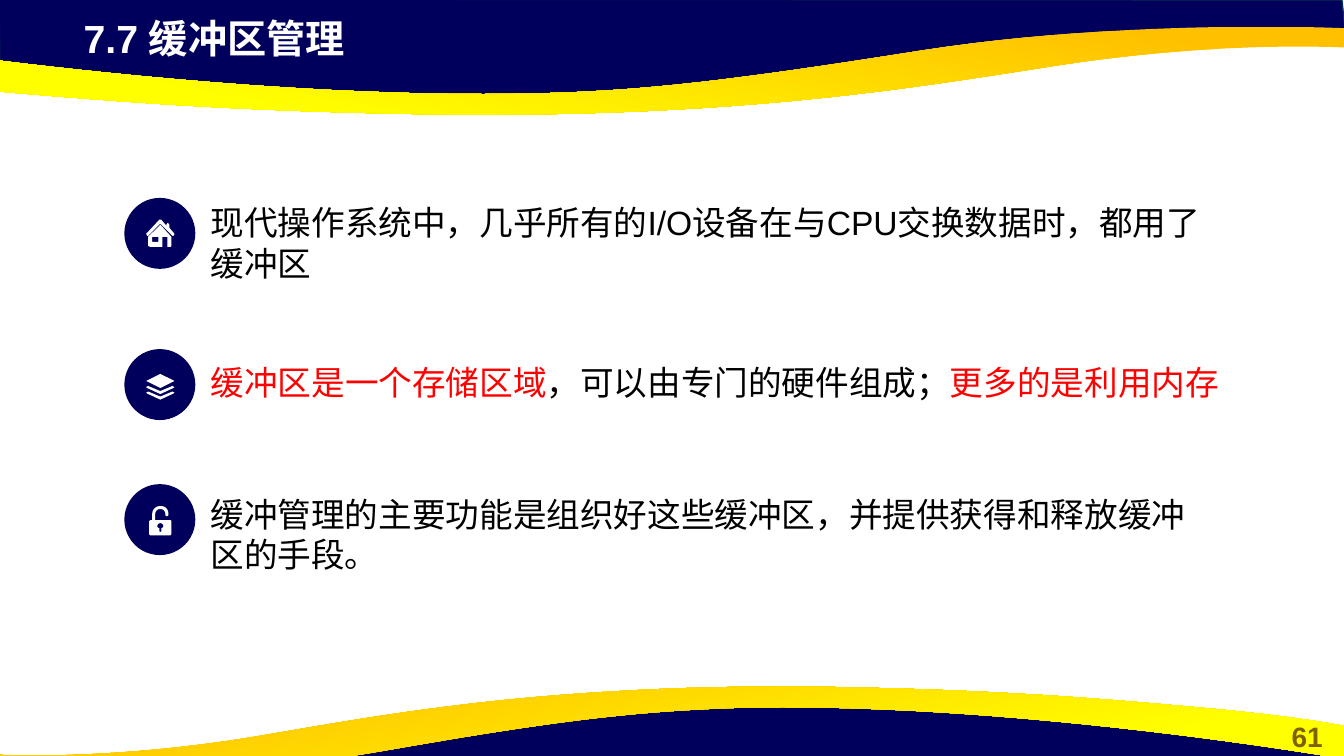
from pptx import Presentation
from pptx.dml.color import RGBColor
from pptx.enum.shapes import MSO_SHAPE
from pptx.enum.text import MSO_ANCHOR, MSO_AUTO_SIZE, PP_ALIGN
from pptx.util import Inches, Pt

OVAL = MSO_SHAPE.OVAL
TOP, MIDDLE = MSO_ANCHOR.TOP, MSO_ANCHOR.MIDDLE
LEFT, CENTER = PP_ALIGN.LEFT, PP_ALIGN.CENTER
NO_FIT = MSO_AUTO_SIZE.NONE
COLORS = {
    "navy": "00005C", "edge": "05304F", "orange": "FFC000", "yellow": "FFFF00",
    "olive": "806000", "red": "FF0000", "black": "000000", "white": "FFFFFF",
}
COLUMNS, ROWS = 1333, 750
CURVE_STEPS = 24

TOP_BAND = [(-1, -1), (0, 70), (293, 102), (559, 100), (795, 88), (1016, 50),
            (1238, 33), (1335, 38), (1331, 0)]
TOP_RIBBON = [(483, 114), (443, 114, 401, 113, 356, 112), (206, 108, 110, 100, 36, 94),
              (-88, 84, -130, 75, -133, 75), (-133, 42), (-133, 42, 218, 98, 517, 93),
              (626, 91, 708, 83, 915, 50), (1121, 18, 1333, 28, 1333, 28), (1333, 47),
              (1330, 47), (1305, 46, 1195, 43, 1055, 64), (918, 85, 762, 113, 483, 114)]
BOTTOM_BAND = [(1333, 794), (1332, 724), (1040, 691), (773, 693), (538, 706),
               (317, 743), (95, 760), (-3, 756), (1, 793)]
BOTTOM_RIBBON = [(772, 681), (809, 681, 847, 682, 888, 683), (1025, 687, 1112, 695, 1179, 701),
                 (1292, 711, 1330, 720, 1333, 720), (1333, 753),
                 (1333, 753, 1014, 697, 742, 702), (642, 705, 567, 712, 380, 745),
                 (192, 778, -1, 768, -1, 768), (-1, 748), (2, 749),
                 (25, 750, 125, 752, 252, 731), (376, 710, 519, 682, 772, 681)]

HOUSE = [
    [(14, 36), (13, 37), (12, 37), (0, 25), (-12, 37), (-13, 37), (-14, 35), (-1, 21),
     (1, 21), (6, 27), (6, 26), (7.5, 24), (9, 26), (9, 29), (14, 35)],
    [(11, 38), (11, 47), (10, 48), (7, 48), (7, 38), (2, 38), (2, 48), (-10, 48),
     (-12, 47), (-12, 38), (0, 26)],
    [(-2, 38), (-8, 38), (-8, 43), (-2, 43)],
]
CHEVRON = [(-12, 36), (0, 41), (12, 36), (14, 37), (13, 38), (0, 44), (-13, 38), (-14, 37)]
LAYERS = [[(0, 24), (14, 31), (0, 38), (-14, 31)]] + [
    [(x, y + shift) for x, y in CHEVRON] for shift in (0, 5.5)]
PADLOCK = [
    [(10, 50), (-10, 50), (-11, 49), (-11, 36), (-10, 35), (-8, 35), (-8, 29),
     (-8, 24, -4, 21, 0, 21), (5, 21, 8, 24, 8, 29), (8, 30, 8, 31, 6.5, 31),
     (5, 31, 5, 30, 5, 29), (5, 26, 3, 24, 0, 24), (-3, 24, -5, 26, -5, 29),
     (-5, 35), (10, 35), (11, 36), (11, 49)],
    [(0, 38), (-1.5, 38, -3, 39, -3, 41), (-3, 42, -2, 43, -1, 43), (-1, 46), (0, 47),
     (1, 46), (1, 43), (2, 43, 3, 42, 3, 41), (3, 39, 1.5, 38, 0, 38)],
]

ITEMS = [
    (197, HOUSE, (199, 198, 1028, 85),
     [("现代操作系统中，几乎所有的I/O设备在与CPU交换数据时，都用了缓冲区", "black")]),
    (347, LAYERS, (199, 358, 1028, 43),
     [("缓冲区是一个存储区域", "red"), ("，可以由专门的硬件组成；", "black"),
      ("更多的是利用内存", "red")]),
    (481, PADLOCK, (199, 491, 1014, 78),
     [("缓冲管理的主要功能是组织好这些缓冲区，并提供获得和释放缓冲区的手段。", "black")]),
]


def color(name):
    """Return the named colour."""
    return RGBColor.from_string(COLORS[name])


def flatten(segments):
    """Turn line points and cubic curve segments into a list of points."""
    points = [segments[0]]
    for segment in segments[1:]:
        if len(segment) == 2:
            points.append(segment)
            continue
        controls = [points[-1]] + [segment[i:i + 2] for i in (0, 2, 4)]
        for step in range(1, CURVE_STEPS + 1):
            t = step / CURVE_STEPS
            weights = ((1 - t) ** 3, 3 * t * (1 - t) ** 2, 3 * t * t * (1 - t), t ** 3)
            points.append(tuple(sum(w * p[axis] for w, p in zip(weights, controls))
                                for axis in (0, 1)))
    return points


class SlideBuilder:
    """Draw styled elements on one slide, placed on a fine grid."""

    def __init__(self, presentation):
        self.font = "Arial"
        self.column = presentation.slide_width / COLUMNS
        self.row = presentation.slide_height / ROWS
        self.slide = presentation.slides.add_slide(presentation.slide_layouts[5])
        self.shapes = self.slide.shapes

    def box(self, left, top, width, height):
        """Convert a grid box to slide lengths."""
        return (round(left * self.column), round(top * self.row),
                round(width * self.column), round(height * self.row))

    def paint(self, shape, fill, line=None):
        """Set a solid fill and an optional outline."""
        shape.shadow.inherit = False
        shape.fill.solid()
        shape.fill.fore_color.rgb = color(fill)
        if line:
            shape.line.color.rgb = color(line)
            shape.line.width = Pt(1)
        else:
            shape.line.fill.background()

    def outline(self, contours, fill, line=None, origin=(0, 0)):
        """Draw closed contours as one filled shape."""
        builder = None
        for contour in contours:
            points = [((x + origin[0]) * self.column, (y + origin[1]) * self.row)
                      for x, y in flatten(contour)]
            if builder is None:
                builder = self.shapes.build_freeform(*points[0])
            else:
                builder.move_to(*points[0])
            builder.add_line_segments(points[1:], close=True)
        shape = builder.convert_to_shape()
        self.paint(shape, fill, line)
        return shape

    def ribbon(self, contour, angle):
        """Draw a curved ribbon shaded from orange to yellow."""
        shape = self.outline([contour], "orange")
        shape.fill.gradient()
        shape.fill.gradient_angle = angle
        stops = zip(shape.fill.gradient_stops, ((0.11, "orange"), (0.78, "yellow")))
        for stop, (position, name) in stops:
            stop.position = position
            stop.color.rgb = color(name)

    def set_text(self, shape, runs, size, bold=False, align=LEFT, anchor=TOP):
        """Fill a shape with one paragraph of coloured runs."""
        frame = shape.text_frame
        frame.word_wrap = True
        frame.auto_size = NO_FIT
        frame.vertical_anchor = anchor
        paragraph = frame.paragraphs[0]
        paragraph.alignment = align
        font = paragraph.font
        font.name, font.size, font.bold = self.font, Pt(size), bold
        if len(runs) == 1:
            font.color.rgb = color(runs[0][1])
        for text, name in runs:
            run = paragraph.add_run()
            run.text = text
            if len(runs) > 1:
                run.font.color.rgb = color(name)

    def title(self, box, text):
        """Place the title in front of the header band."""
        shape = self.shapes.title
        shape.left, shape.top, shape.width, shape.height = self.box(*box)
        self.shapes._spTree.append(shape._element)
        self.set_text(shape, [(text, "white")], 28, bold=True)

    def text(self, box, runs, size, **style):
        """Add a text box."""
        self.set_text(self.shapes.add_textbox(*self.box(*box)), runs, size, **style)

    def badge(self, top, icon):
        """Draw a round badge with a white icon."""
        circle = self.shapes.add_shape(OVAL, *self.box(124, top, 69, 69))
        self.paint(circle, "navy", "navy")
        self.outline(icon, "white", origin=(159, top))


def main():
    """Build and save the slide."""
    presentation = Presentation()
    presentation.slide_width, presentation.slide_height = Inches(13.33), Inches(7.5)
    builder = SlideBuilder(presentation)
    bands = ((TOP_BAND, TOP_RIBBON, 260), (BOTTOM_BAND, BOTTOM_RIBBON, 280))
    for band, ribbon, angle in bands:
        builder.outline([band], "navy", "edge")
        builder.ribbon(ribbon, angle)
    builder.text((1260, 709, 73, 44), [("61", "olive")], 20, bold=True, align=CENTER)
    builder.title((73, 9, 768, 57), "7.7 缓冲区管理")
    for top, icon, box, runs in ITEMS:
        builder.text(box, runs, 24, anchor=MIDDLE)
        builder.badge(top, icon)
    presentation.save("out.pptx")


if __name__ == "__main__":
    main()
